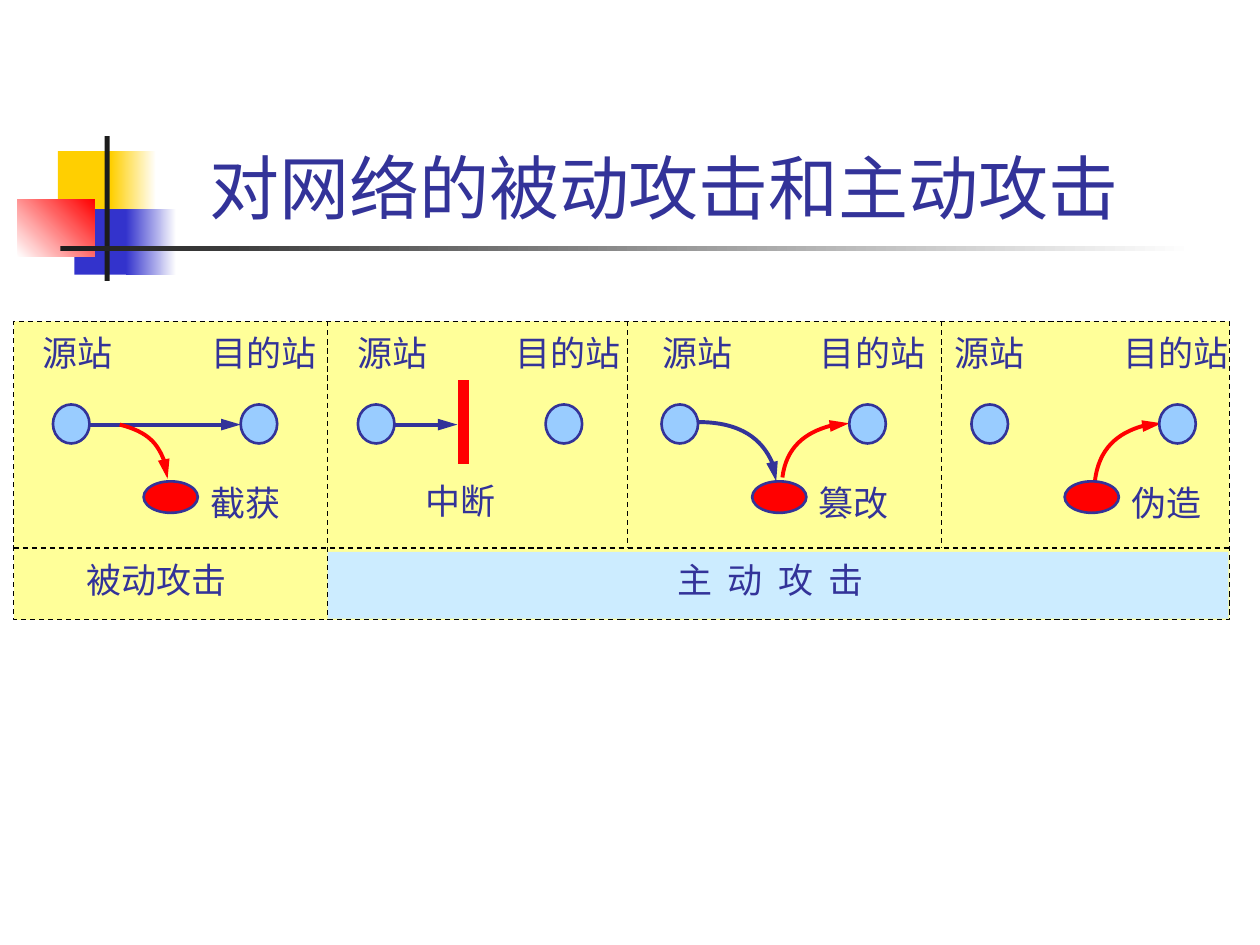
from lxml.etree import SubElement
from pptx import Presentation
from pptx.dml.color import RGBColor
from pptx.enum.dml import MSO_LINE_DASH_STYLE as Dash
from pptx.enum.shapes import MSO_CONNECTOR as Connector, MSO_SHAPE as Shape
from pptx.enum.text import MSO_ANCHOR as Anchor, MSO_AUTO_SIZE as AutoSize, PP_ALIGN as Align
from pptx.oxml.ns import qn
from pptx.util import Inches, Pt

NAVY, RED, BLACK, WHITE = "333399", "FF0000", "000000", "FFFFFF"
YELLOW, PALE_BLUE, NODE_BLUE = "FFFF99", "CCECFF", "99CCFF"
GOLD, BLUE, CHARCOAL = "FFCF01", "3333CC", "1C1C1C"


def color(value):
    return RGBColor.from_string(value)


def set_line(item, value, width, dash=None):
    item.line.color.rgb = color(value)
    item.line.width = Pt(width)
    if dash:
        item.line.dash_style = dash


def add_arrowhead(item):
    SubElement(item.line._get_or_add_ln(), qn("a:tailEnd"), type="triangle", w="med", len="lg")


def add_figure(page, kind, box, fill, line=None):
    figure = page.shapes.add_shape(kind, *map(Inches, box))
    figure.shadow.inherit = False
    figure.fill.solid()
    figure.fill.fore_color.rgb = color(fill)
    if line:
        set_line(figure, *line)
    else:
        figure.line.fill.background()
    return figure


def add_fade(page, box, start, end, angle=0):
    figure = add_figure(page, Shape.RECTANGLE, box, start)
    figure.fill.gradient()
    figure.fill.gradient_angle = angle
    for stop, value in zip(figure.fill.gradient_stops, (start, end)):
        stop.color.rgb = color(value)


def add_line(page, start, end, value, width, dash=None):
    line = page.shapes.add_connector(Connector.STRAIGHT, *map(Inches, (*start, *end)))
    SubElement(line._element.spPr, qn("a:effectLst"))
    set_line(line, value, width, dash)
    return line


def add_curved_arrow(page, left, top, points, value):
    """Draw one cubic curve; points are start, two controls and end, from left and top."""
    start, *rest = [(Inches(left + x), Inches(top + y)) for x, y in points]
    builder = page.shapes.build_freeform(*start)
    builder.add_line_segments(rest, close=False)
    arrow = builder.convert_to_shape()
    outline = next(arrow._element.iter(qn("a:path")))
    curve = SubElement(outline, qn("a:cubicBezTo"))
    for segment in outline.findall(qn("a:lnTo")):
        curve.append(segment[0])
        outline.remove(segment)
    arrow.shadow.inherit = False
    arrow.fill.background()
    set_line(arrow, value, 2.25)
    add_arrowhead(arrow)


def add_text(page, box, text, size=20, tracking=None):
    area = page.shapes.add_textbox(*map(Inches, box))
    frame = area.text_frame
    frame.word_wrap = False
    frame.auto_size = AutoSize.SHAPE_TO_FIT_TEXT
    span = frame.paragraphs[0].add_run()
    span.text = text
    for name, value in {"name": "Arial", "size": Pt(size)}.items():
        setattr(span.font, name, value)
    span.font.color.rgb = color(NAVY)
    if tracking:
        span._r.get_or_add_rPr().set("spc", str(tracking))
    return frame


def add_heading(page, left, top):
    add_figure(page, Shape.RECTANGLE, (left + 0.32, top + 0.12, 0.48, 0.52), GOLD)
    add_fade(page, (left + 0.74, top + 0.12, 0.36, 0.52), GOLD, WHITE)
    add_figure(page, Shape.RECTANGLE, (left + 0.45, top + 0.58, 0.46, 0.52), BLUE)
    add_fade(page, (left + 0.86, top + 0.58, 0.4, 0.52), BLUE, WHITE)
    add_fade(page, (left, top + 0.5, 0.61, 0.46), WHITE, RED, 45)
    add_figure(page, Shape.RECTANGLE, (left + 0.69, top, 0.04, 1.15), CHARCOAL)
    add_fade(page, (left + 0.34, top + 0.87, 9, 0.04), CHARCOAL, WHITE)
    frame = add_text(page, (left + 1.38, top - 0.06, 7.5, 0.84), "对网络的被动攻击和主动攻击", 40)
    frame.word_wrap = True
    frame.auto_size = AutoSize.NONE
    frame.vertical_anchor = Anchor.BOTTOM
    frame.paragraphs[0].alignment = Align.CENTER


def add_stations(page, left, top, node, source, target):
    """Draw both stations and their names; node, source and target are offsets from left."""
    for x in (node, node + 1.49):
        add_figure(page, Shape.OVAL, (left + x, top + 0.66, 0.29, 0.31), NODE_BLUE, (NAVY, 1.5))
    add_text(page, (left + source, top + 0.03, 0.76, 0.43), "源站")
    add_text(page, (left + target, top + 0.03, 1.06, 0.43), "目的站")


def add_attacker(page, left, top, x, name):
    add_figure(page, Shape.OVAL, (left + x, top + 1.27, 0.43, 0.25), RED, (NAVY, 1.5))
    add_text(page, (left + x + 0.43, top + 1.22, 0.77, 0.43), name)


def add_straight_arrow(page, left, top, start, end):
    y = top + 0.82
    add_arrowhead(add_line(page, (left + start, y), (left + end, y), NAVY, 2.25))


def add_interception(page, left, top):
    add_straight_arrow(page, left, top, 0.6, 1.8)
    add_curved_arrow(page, left, top, [(0.84, 0.82), (1.07, 0.88), (1.22, 1.05), (1.22, 1.25)], RED)
    add_stations(page, left, top, 0.31, 0.13, 1.47)
    add_attacker(page, left, top, 1.03, "截获")


def add_interruption(page, left, top):
    add_straight_arrow(page, left, top, 0.5, 1.03)
    add_stations(page, left, top, 0.24, 0.14, 1.39)
    add_line(page, (left + 1.08, top + 0.47), (left + 1.08, top + 1.13), RED, 6)
    add_text(page, (left + 0.68, top + 1.21, 0.77, 0.43), "中断")


def add_modification(page, left, top):
    add_curved_arrow(page, left, top, [(0.56, 0.8), (0.9, 0.8), (1.18, 1.01), (1.18, 1.27)], NAVY)
    add_curved_arrow(page, left, top, [(1.23, 1.24), (1.26, 1), (1.49, 0.81), (1.76, 0.81)], RED)
    add_stations(page, left, top, 0.27, 0.18, 1.43)
    add_attacker(page, left, top, 0.99, "篡改")


def add_fabrication(page, left, top):
    add_curved_arrow(page, left, top, [(1.22, 1.27), (1.25, 1.01), (1.48, 0.81), (1.75, 0.81)], RED)
    add_stations(page, left, top, 0.24, 0.01, 1.35)
    add_attacker(page, left, top, 0.98, "伪造")


def add_attack_panels(page, left, top, width, height):
    right, bottom, split = left + width, top + height, top + 1.8
    dividers = [left + offset for offset in (2.49, 4.87, 7.36)]
    active = dividers[0]
    add_figure(page, Shape.RECTANGLE, (left, top, width, height), YELLOW, (BLACK, 0.75, Dash.DASH))
    add_figure(page, Shape.RECTANGLE, (active, split + 0.03, right - active - 0.01, 0.53), PALE_BLUE)
    scenes = (add_interception, add_interruption, add_modification, add_fabrication)
    for scene, x in zip(scenes, [left, *dividers]):
        scene(page, x, top)
    add_text(page, (left + 0.48, split + 0.03, 1.33, 0.43), "被动攻击")
    add_text(page, (active + 2.68, split + 0.03, 1.77, 0.43), "主 动 攻 击", tracking=210)
    add_line(page, (left, split), (right, split), BLACK, 0.75, Dash.DASH)
    for x, end in zip(dividers, (bottom, split, split)):
        add_line(page, (x, top), (x, end), BLACK, 0.75, Dash.DASH)


def main():
    deck = Presentation()
    deck.slide_width, deck.slide_height = Inches(10), Inches(7.5)
    page = deck.slides.add_slide(deck.slide_layouts[6])
    add_heading(page, 0.14, 1.08)
    add_attack_panels(page, 0.11, 2.55, 9.65, 2.37)
    deck.save("out.pptx")


if __name__ == "__main__":
    main()
